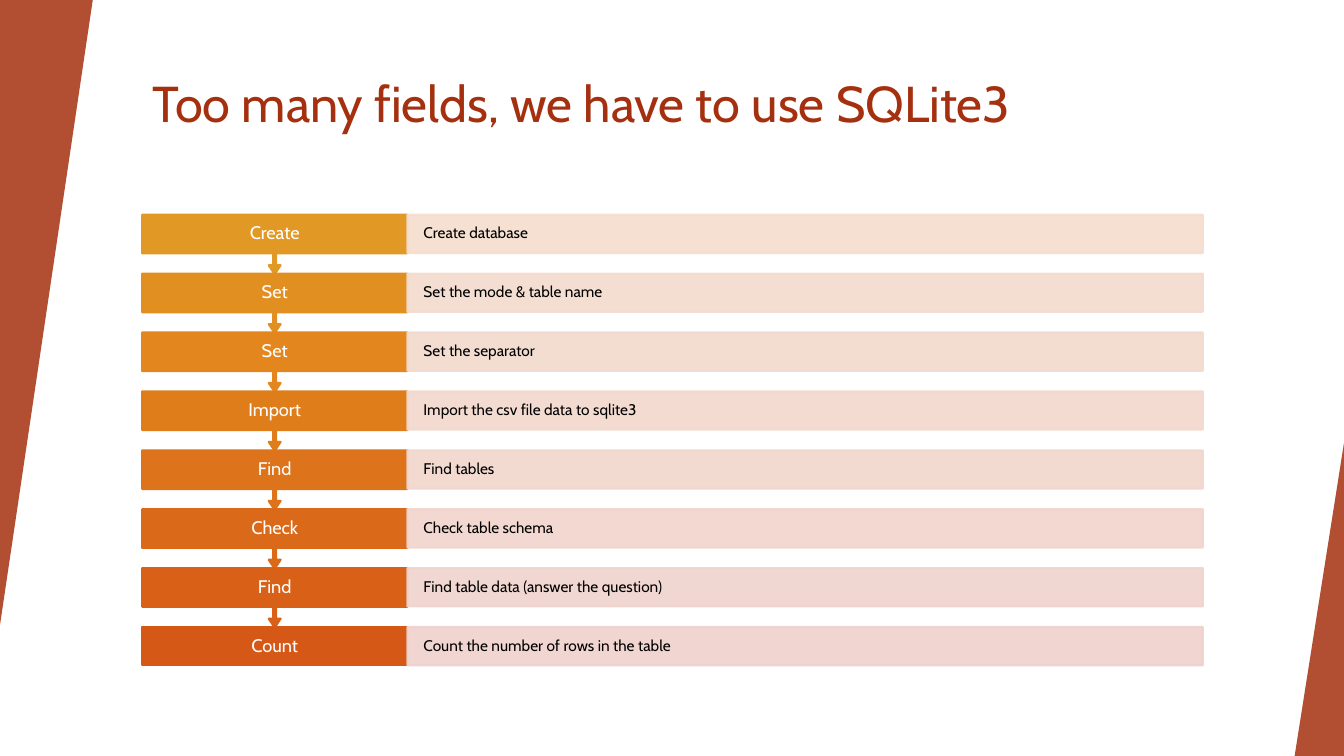
import pptx
import pptx.util
import pptx.dml.color
import pptx.enum.shapes
import pptx.enum.text
import pptx.oxml.ns
import lxml.etree

Inches = pptx.util.Inches
Pt = pptx.util.Pt
SHAPE = pptx.enum.shapes.MSO_SHAPE
ALIGN = pptx.enum.text.PP_ALIGN
ANCHOR = pptx.enum.text.MSO_ANCHOR

FONT = "Cabin"
COLORS = {"rust": "A5300F", "label": "FFFFFF", "detail": "000000"}


def add_filled(kind, box, color, opacity=100, outline=None):
    """Add a preset shape; box is left, top, width, height in inches, outline a width in points."""
    shape = slide.shapes.add_shape(kind, *map(Inches, box))
    shape.shadow.inherit = False
    paints = [shape.fill]
    if outline:
        shape.line.width = Pt(outline)
        paints.append(shape.line.fill)
    else:
        shape.line.fill.background()
    for paint in paints:
        paint.solid()
        paint.fore_color.rgb = pptx.dml.color.RGBColor.from_string(color)
    if opacity < 100:
        for tint in shape._element.spPr.iter(pptx.oxml.ns.qn("a:srgbClr")):
            alpha = lxml.etree.SubElement(tint, pptx.oxml.ns.qn("a:alpha"))
            alpha.set("val", str(opacity * 1000))
    return shape


def write_text(shape, text, size, color, align, anchor, margins):
    """Fill a shape with one paragraph; margins are horizontal and vertical, in inches."""
    frame = shape.text_frame
    frame.word_wrap = True
    frame.vertical_anchor = anchor
    frame.margin_left = frame.margin_right = Inches(margins[0])
    frame.margin_top = frame.margin_bottom = Inches(margins[1])
    frame.text = text
    paragraph = frame.paragraphs[0]
    paragraph.alignment = align
    paragraph.line_spacing = 0.9
    paragraph.font.name = FONT
    paragraph.font.size = Pt(size)
    paragraph.font.color.rgb = pptx.dml.color.RGBColor.from_string(color)


deck = pptx.Presentation()
deck.slide_width = Inches(13.33)
deck.slide_height = Inches(7.5)
slide = deck.slides.add_slide(deck.slide_layouts[5])

# Title
title = slide.shapes.title
title.left, title.top = Inches(1.41), Inches(0.67)
title.width, title.height = Inches(11.15), Inches(1.2)
write_text(title, "Too many fields, we have to use SQLite3", 36, COLORS["rust"],
           ALIGN.LEFT, ANCHOR.TOP, (0.1, 0.05))
title.text_frame.paragraphs[0].line_spacing = 1.0

# Corner wedges
for box, turn in [((0, 0, 0.92, 6.2), 180), ((12.84, 4.39, 0.49, 3.11), 0)]:
    wedge = add_filled(SHAPE.ISOSCELES_TRIANGLE, box, COLORS["rust"], opacity=85)
    wedge.adjustments[0] = 1
    wedge.rotation = turn

# Steps: label, detail, label colour, detail colour
steps = [
    ("Create", "Create database", "E19825", "F4DDCD"),
    ("Set", "Set the mode & table name", "E28F21", "F3DBCD"),
    ("Set", "Set the separator", "E2861D", "F2DACD"),
    ("Import", "Import the csv file data to sqlite3", "DF7D1B", "F2D8CD"),
    ("Find", "Find tables", "DD731A", "F1D6CD"),
    ("Check", "Check table schema", "DA6A19", "F1D4CD"),
    ("Find", "Find table data (answer the question)", "D86117", "F0D3CC"),
    ("Count", "Count the number of rows in the table", "D55816", "EFD1CC"),
]
LEFT, LABEL_WIDTH, DETAIL_WIDTH = 1.41, 2.63, 7.89
FIRST_TOP, LAST_TOP = 2.13, 6.22
BAR_HEIGHT, CALLOUT_HEIGHT = 0.38, 0.59
pitch = (LAST_TOP - FIRST_TOP) / (len(steps) - 1)

for index, (label, detail, label_color, detail_color) in enumerate(steps):
    top = FIRST_TOP + index * pitch
    if index < len(steps) - 1:
        step = add_filled(SHAPE.DOWN_ARROW_CALLOUT, (LEFT, top, LABEL_WIDTH, CALLOUT_HEIGHT),
                          label_color, outline=1.5)
        for position, value in enumerate([0.05, 0.1, 0.15, 0.65]):
            step.adjustments[position] = value
    else:
        step = add_filled(SHAPE.RECTANGLE, (LEFT, top, LABEL_WIDTH, BAR_HEIGHT),
                          label_color, outline=1.5)
    write_text(step, label, 13, COLORS["label"], ALIGN.CENTER, ANCHOR.MIDDLE, (0.19, 0.1))

    bar = add_filled(SHAPE.RECTANGLE, (LEFT + LABEL_WIDTH, top, DETAIL_WIDTH, BAR_HEIGHT),
                     detail_color, opacity=90, outline=1.5)
    write_text(bar, detail, 11, COLORS["detail"], ALIGN.LEFT, ANCHOR.MIDDLE, (0.16, 0.15))

deck.save("out.pptx")
